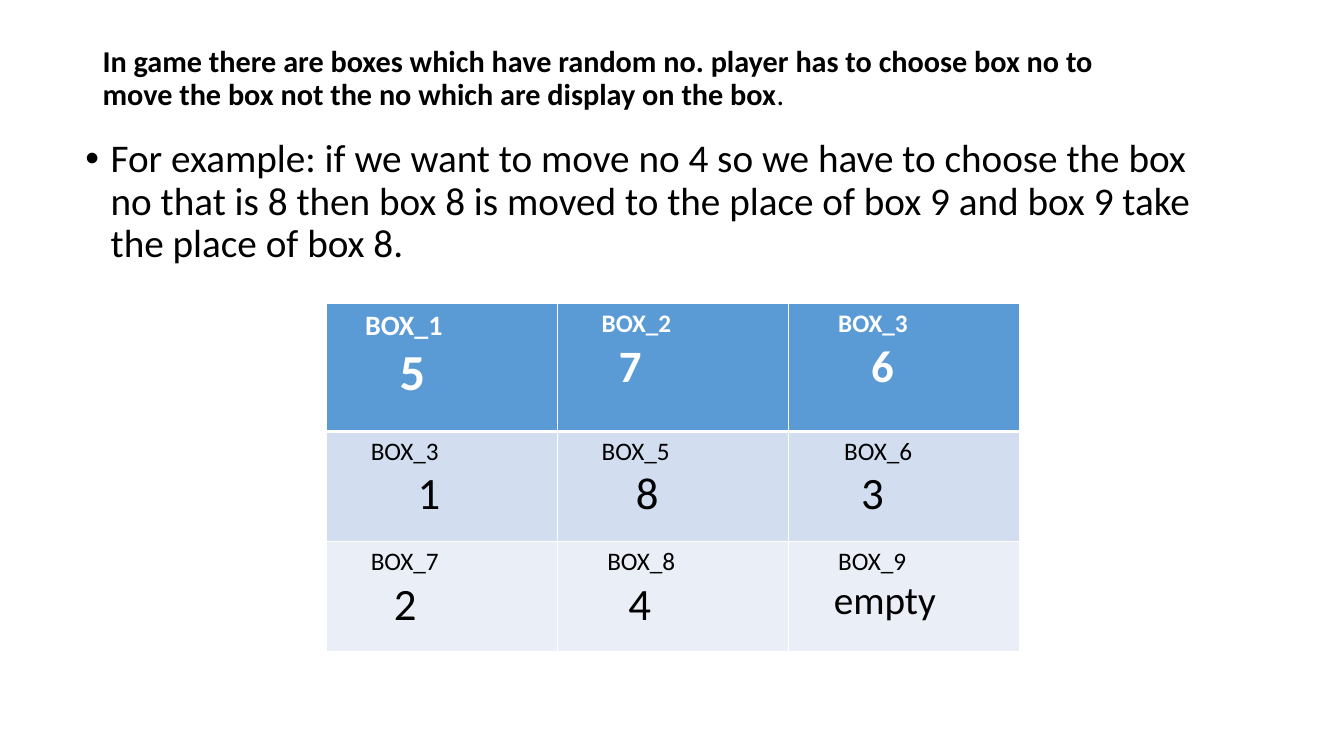
from lxml.etree import SubElement
from pptx import Presentation
from pptx.dml.color import RGBColor
from pptx.enum.text import MSO_ANCHOR, MSO_AUTO_SIZE, PP_ALIGN
from pptx.oxml import parse_xml
from pptx.oxml.ns import nsdecls, qn
from pptx.util import Cm, Pt

BLACK = RGBColor(0x00, 0x00, 0x00)
WHITE = RGBColor(0xFF, 0xFF, 0xFF)
HEADER_BLUE = RGBColor(0x5B, 0x9B, 0xD5)
MIDDLE_BLUE = RGBColor(0xD2, 0xDE, 0xEF)
PALE_BLUE = RGBColor(0xEA, 0xEF, 0xF7)
FONT = "Calibri"

TITLE = (
    "In game there are boxes which have random no. player has to choose box no to "
    "move the box not the no which are display on the box"
)
EXAMPLE = (
    "For example: if we want to move no 4 so we have to choose the box no that is 8 "
    "then box 8 is moved to the place of box 9 and box 9 take the place of box 8."
)

# Each line of a box is (text, size in points, indent in centimetres).
BOXES = [
    [
        [("BOX_1", 20, 0.72), ("5", 36, 1.59)],
        [("BOX_2", 18, 0.86), ("7", 32, 1.29)],
        [("BOX_3", 18, 1.0), ("6", 32, 1.83)],
    ],
    [
        [("BOX_3", 18, 0.86), ("1", 32, 2.04)],
        [("BOX_5", 18, 0.86), ("8", 32, 1.72)],
        [("BOX_6", 18, 1.15), ("3", 32, 1.58)],
    ],
    [
        [("BOX_7", 18, 0.86), ("2", 32, 1.44)],
        [("BOX_8", 18, 1.0), ("4", 32, 1.53)],
        [("BOX_9", 18, 1.0), ("empty", 28, 0.89)],
    ],
]
ROW_FILLS = [HEADER_BLUE, MIDDLE_BLUE, PALE_BLUE]
ROW_HEIGHTS = [3.22, 2.78, 2.78]


def add_run(paragraph, text, size, color=BLACK, bold=False):
    """Append a formatted run to a paragraph."""
    run = paragraph.add_run()
    run.text = text
    run.font.name = FONT
    run.font.size = Pt(size)
    run.font.bold = bold
    run.font.color.rgb = color


def indent(paragraph, margin, first_line=0):
    """Set the left margin and first-line indent of a paragraph."""
    properties = paragraph._p.get_or_add_pPr()
    properties.set("marL", str(Cm(margin)))
    properties.set("indent", str(Cm(first_line)))
    return properties


def place_title(slide, left, top, width, height):
    """Move the title placeholder into its box and write the rule of the game."""
    title = slide.shapes.title
    title.left, title.top, title.width, title.height = map(Cm, (left, top, width, height))
    frame = title.text_frame
    frame.auto_size = MSO_AUTO_SIZE.NONE
    frame.word_wrap = True
    frame.vertical_anchor = MSO_ANCHOR.MIDDLE
    paragraph = frame.paragraphs[0]
    paragraph.alignment = PP_ALIGN.LEFT
    paragraph.line_spacing = 0.9
    add_run(paragraph, TITLE, 21.6, bold=True)
    add_run(paragraph, ".", 21.6)


def add_example(slide, left, top, width, height):
    """Add the bulleted example of a move."""
    frame = slide.shapes.add_textbox(*map(Cm, (left, top, width, height))).text_frame
    frame.word_wrap = True
    paragraph = frame.paragraphs[0]
    paragraph.line_spacing = 0.9
    paragraph.space_before = Pt(10)
    properties = indent(paragraph, 0.64, -0.64)
    SubElement(properties, qn("a:buFont")).set("typeface", "Arial")
    SubElement(properties, qn("a:buChar")).set("char", "•")
    add_run(paragraph, EXAMPLE, 28)


def add_borders(cell, top, bottom):
    """Draw white cell borders with the given top and bottom widths in points."""
    properties = cell._tc.get_or_add_tcPr()
    widths = {"lnL": 1, "lnR": 1, "lnT": top, "lnB": bottom}
    for position, (side, width) in enumerate(widths.items()):
        border = parse_xml(
            f'<a:{side} {nsdecls("a")} w="{Pt(width)}"><a:solidFill>'
            f'<a:srgbClr val="{WHITE}"/></a:solidFill></a:{side}>'
        )
        properties.insert(position, border)


def fill_box(cell, lines, color, bold):
    """Write the name and the number of one box into its cell."""
    frame = cell.text_frame
    for index, (text, size, margin) in enumerate(lines):
        paragraph = frame.add_paragraph() if index else frame.paragraphs[0]
        indent(paragraph, margin)
        add_run(paragraph, text, size, color, bold)


def add_board(slide, left, top, width):
    """Add the three-by-three board of boxes."""
    shape = slide.shapes.add_table(
        len(BOXES), len(BOXES[0]), Cm(left), Cm(top), Cm(width), Cm(sum(ROW_HEIGHTS))
    )
    table = shape.table
    for row_index, boxes in enumerate(BOXES):
        table.rows[row_index].height = Cm(ROW_HEIGHTS[row_index])
        is_header = row_index == 0
        for column_index, lines in enumerate(boxes):
            cell = table.cell(row_index, column_index)
            cell.fill.solid()
            cell.fill.fore_color.rgb = ROW_FILLS[row_index]
            add_borders(cell, 3 if row_index == 1 else 1, 3 if is_header else 1)
            fill_box(cell, lines, WHITE if is_header else BLACK, is_header)


def main():
    """Build and save the slide."""
    presentation = Presentation()
    presentation.slide_width = Cm(33.87)
    presentation.slide_height = Cm(19.05)
    slide = presentation.slides.add_slide(presentation.slide_layouts[5])
    place_title(slide, 2.33, 1.02, 26.67, 1.96)
    add_example(slide, 1.9, 3.38, 29.21, 3.6)
    add_board(slide, 8.23, 7.65, 17.46)
    presentation.save("out.pptx")


if __name__ == "__main__":
    main()
